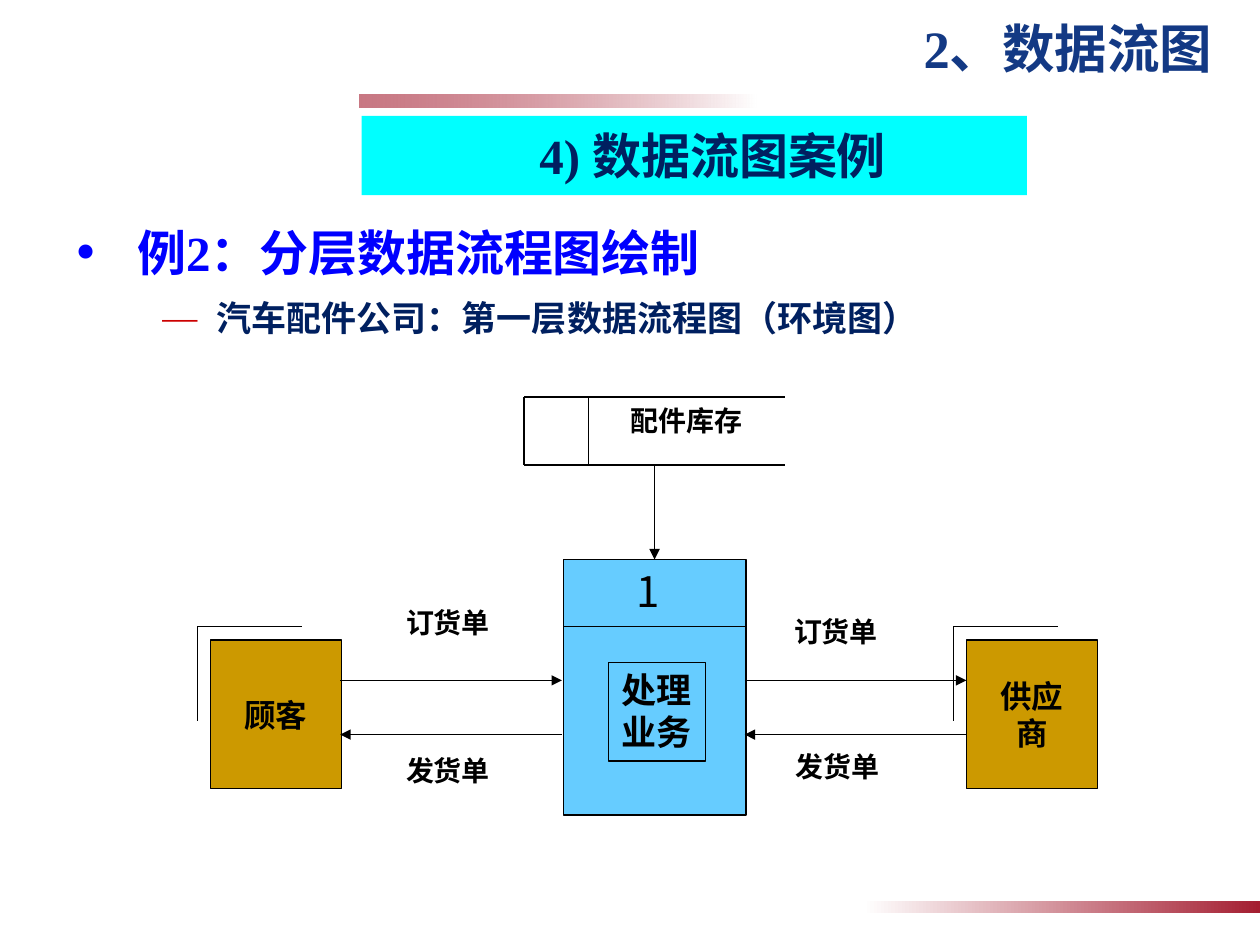
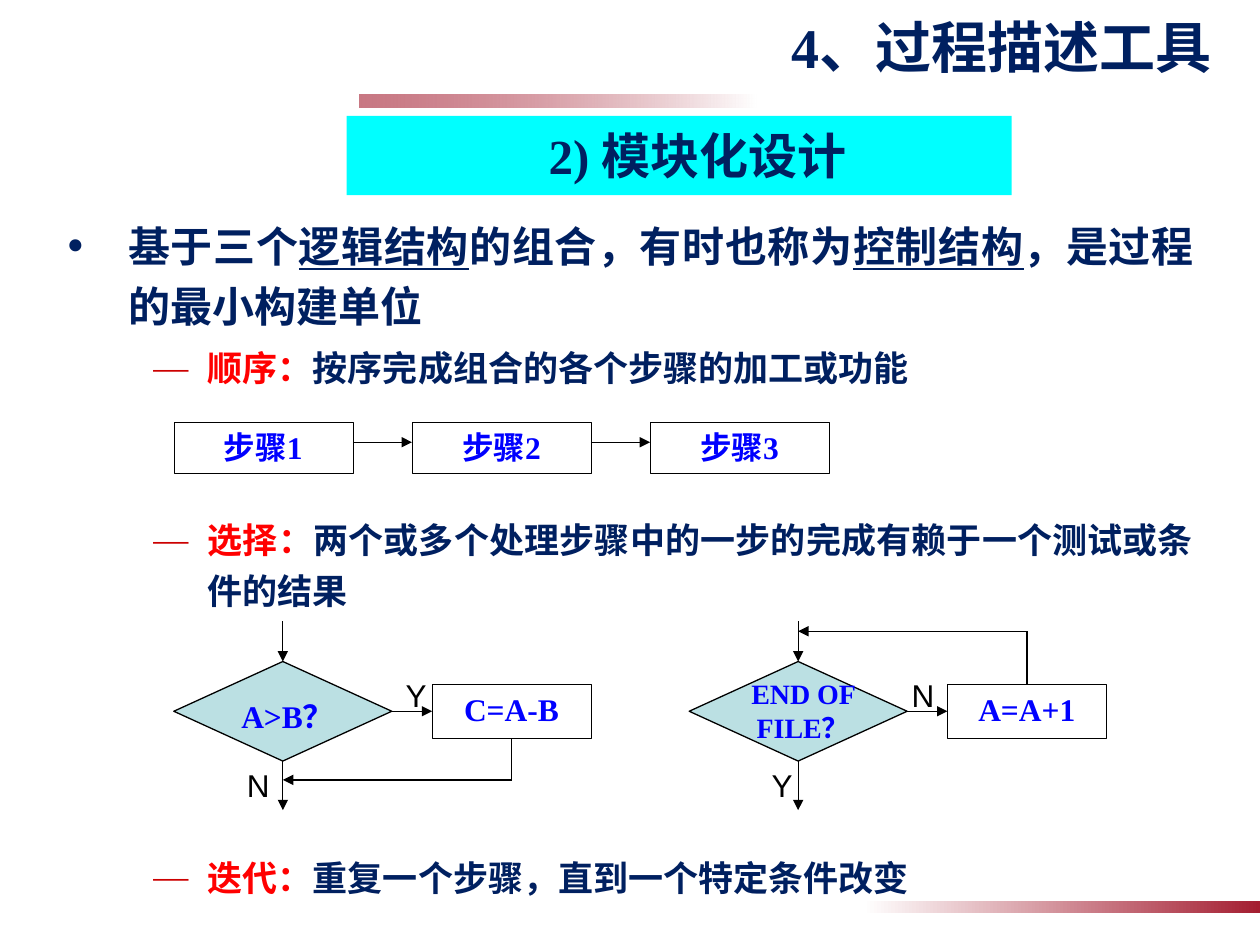
"""Build two slides on data flow diagrams and modular design."""
import lxml.etree
import pptx
import pptx.dml.color
import pptx.enum.shapes
import pptx.enum.text
import pptx.oxml.ns
import pptx.util

color = pptx.dml.color.RGBColor.from_string
qualified = pptx.oxml.ns.qn
SHAPES = pptx.enum.shapes.MSO_SHAPE
ALIGN = pptx.enum.text.PP_ALIGN
ANCHOR = pptx.enum.text.MSO_ANCHOR
SERIF, CHINESE, SANS = "Times New Roman", "Noto Sans CJK SC", "Arial"
WHITE, BLACK, NAVY, BLUE, RED = "FFFFFF", "000000", "002060", "0000FF", "FF0000"
CRIMSON, TITLE_BLUE, CYAN = "A41E31", "133984", "00FFFF"
SKY, OCHRE, PALE_TEAL, BULLET_RED = "66CCFF", "CC9900", "BBE0E3", "CC0000"

presentation = pptx.Presentation()
presentation.slide_width = pptx.util.Inches(10)
presentation.slide_height = pptx.util.Inches(7.5)
column = presentation.slide_width / 100
row = presentation.slide_height / 75


def add_box(slide, left, top, width, height, text="", size=18, ink=BLACK, font=CHINESE,
            bold=True, kind=None, fill=None, line=None, align=ALIGN.CENTER,
            anchor=ANCHOR.TOP, wrap=True):
    place = [int(left * column), int(top * row), int(width * column), int(height * row)]
    if kind is None:
        shape = slide.shapes.add_textbox(*place)
    else:
        shape = slide.shapes.add_shape(kind, *place)
        shape.shadow.inherit = False
        if fill:
            shape.fill.solid()
            shape.fill.fore_color.rgb = color(fill)
        else:
            shape.fill.background()
        if line:
            shape.line.color.rgb = color(BLACK)
            shape.line.width = pptx.util.Pt(line)
        else:
            shape.line.fill.background()
    frame = shape.text_frame
    frame.word_wrap = wrap
    frame.vertical_anchor = anchor
    frame.text = text
    for paragraph in frame.paragraphs:
        paragraph.alignment = align
        for run in paragraph.runs:
            run.font.size = pptx.util.Pt(size)
            run.font.bold = bold
            run.font.name = font
            run.font.color.rgb = color(ink)
    return shape


def add_line(slide, start_x, start_y, end_x, end_y, arrow=False):
    connector = slide.shapes.add_connector(
        pptx.enum.shapes.MSO_CONNECTOR.STRAIGHT,
        int(start_x * column), int(start_y * row), int(end_x * column), int(end_y * row))
    connector.line.color.rgb = color(BLACK)
    connector.line.width = pptx.util.Pt(0.75)
    if arrow:
        lxml.etree.SubElement(connector.line._get_or_add_ln(), qualified("a:tailEnd"), type="triangle")
    lxml.etree.SubElement(connector._element.spPr, qualified("a:effectLst"))
    return connector


pages = [
    {"title": "2、数据流图", "title_size": 30, "title_ink": TITLE_BLUE, "title_top": 0.8,
     "band": "4) 数据流图案例", "band_left": 28.7,
     "body_place": (5, 16.2, 90, 59.1), "body_align": ALIGN.LEFT,
     "body": [(0, 28, 0, [("例2：分层数据流程图绘制", BLUE, False)]),
              (1, 20, 4, [("汽车配件公司：第一层数据流程图（环境图）", NAVY, False)])]},
    {"title": "4、过程描述工具", "title_size": 32, "title_ink": NAVY, "title_top": 0.5,
     "band": "2) 模块化设计", "band_left": 27.5,
     "body_place": (4.3, 16.2, 91.4, 55.9), "body_align": ALIGN.JUSTIFY,
     "body": [(0, 24, 0, [("基于三个", NAVY, False), ("逻辑结构", NAVY, True),
                          ("的组合，有时也称为", NAVY, False), ("控制结构", NAVY, True),
                          ("，是过程的最小构建单位", NAVY, False)]),
              (1, 20, 4, [("顺序：", RED, False),
                          ("按序完成组合的各个步骤的加工或功能", NAVY, False)]),
              (1, 20, 69.6, [("选择：", RED, False),
                             ("两个或多个处理步骤中的一步的完成有赖于一个测试或条件的结果", NAVY, False)]),
              (1, 20, 135.2, [("迭代：", RED, False),
                              ("重复一个步骤，直到一个特定条件改变", NAVY, False)])]},
]

for page in pages:
    slide = presentation.slides.add_slide(presentation.slide_layouts[6])
    for left, top, rotation, opacity in [(28.5, 7.5, 180, 60), (68.5, 71.5, 0, 100)]:
        stripe = add_box(slide, left, top, 31.5, 1, kind=SHAPES.RECTANGLE)
        stripe.rotation = rotation
        stripe.fill.gradient()
        stripe.fill.gradient_angle = 0
        for stop, position, shade in zip(stripe.fill.gradient_stops, (0, 1), (WHITE, CRIMSON)):
            stop.position = position
            stop.color.rgb = color(shade)
        deep_end = list(stripe._element.iter(qualified("a:srgbClr")))[-1]
        lxml.etree.SubElement(deep_end, qualified("a:alpha"), val=str(opacity * 1000))
    add_box(slide, 0, page["title_top"], 97.2, 7, page["title"], page["title_size"],
            page["title_ink"], SERIF, align=ALIGN.RIGHT)
    band = add_box(slide, page["band_left"], 9.2, 52.8, 6.3, page["band"], 28, NAVY, SERIF,
                   kind=SHAPES.RECTANGLE, fill=CYAN)
    band.text_frame.margin_left = int(3.9 * column)
    band.text_frame.margin_top = band.text_frame.margin_bottom = int(0.8 * row)

    frame = add_box(slide, *page["body_place"]).text_frame
    for index, (level, size, space, pieces) in enumerate(page["body"]):
        paragraph = frame.add_paragraph() if index else frame.paragraphs[0]
        properties = paragraph._p.get_or_add_pPr()
        margin, indent = [(4.9, -4.9), (11.2, -4.3)][level]
        properties.set("marL", str(int(margin * column)))
        properties.set("indent", str(int(indent * column)))
        if level:
            bullet_color = lxml.etree.SubElement(properties, qualified("a:buClr"))
            lxml.etree.SubElement(bullet_color, qualified("a:srgbClr"), val=BULLET_RED)
        else:
            lxml.etree.SubElement(properties, qualified("a:buSzPct"), val="120000")
        lxml.etree.SubElement(properties, qualified("a:buFont"), typeface=SERIF)
        lxml.etree.SubElement(properties, qualified("a:buChar"), char="•―"[level])
        paragraph.level = level
        paragraph.alignment = page["body_align"]
        paragraph.line_spacing = 1.2
        paragraph.space_before = pptx.util.Pt(space)
        for text, ink, underlined in pieces:
            run = paragraph.add_run()
            run.text = text
            run.font.size = pptx.util.Pt(size)
            run.font.bold = True
            run.font.name = SERIF
            run.font.color.rgb = color(ink)
            if underlined:
                run.font.underline = True

flow_slide, module_slide = presentation.slides

process = add_box(flow_slide, 44.7, 44.4, 14.5, 20.3, kind=SHAPES.RECTANGLE, fill=SKY, line=0.75)
add_line(flow_slide, 44.7, 49.7, 59.2, 49.7)
add_box(flow_slide, 48.8, 44.4, 5.2, 5, "1", 24, bold=False)
add_box(flow_slide, 48.3, 52.6, 7.7, 7.8, "处理\n业务", 20, kind=SHAPES.RECTANGLE, line=0.75, wrap=False)
for left, name in [(16.7, "顾客"), (76.7, "供应\n商")]:
    add_box(flow_slide, left, 50.8, 10.4, 11.8, name, kind=SHAPES.RECTANGLE, fill=OCHRE,
            line=0.75, anchor=ANCHOR.MIDDLE, wrap=False)
    add_line(flow_slide, left - 1.05, 57.2, left - 1.05, 49.7)
    add_line(flow_slide, left - 1.05, 49.7, left + 7.25, 49.7)
for left, top, width, name in [(31.2, 47.6, 8.7, "订货单"), (31.2, 59.3, 8.7, "发货单"),
                               (62, 48.3, 8.7, "订货单"), (62.1, 59, 8.7, "发货单"),
                               (49, 31.5, 11, "配件库存")]:
    add_box(flow_slide, left, top, width, 3.7, name, 16, wrap=False)
for left in (41.6, 46.7):
    add_line(flow_slide, left, 31.5, left, 36.9)
for top in (31.5, 36.9):
    add_line(flow_slide, 41.6, top, 62.3, top)
for left, right in [(27, 44.6), (59.1, 76.7)]:
    add_line(flow_slide, left, 54, right, 54, arrow=True)
    add_line(flow_slide, right, 58.3, left, 58.3, arrow=True)
add_line(flow_slide, 51.95, 36.9, 51.95, 44.4, arrow=True).end_connect(process, 0)

for index in range(3):
    left = 13.8 + 18.9 * index
    add_box(module_slide, left, 33.5, 14.2, 4.05, f"步骤{index + 1}", 18, BLUE, SERIF,
            kind=SHAPES.RECTANGLE, line=0.25)
    if index:
        add_line(module_slide, left - 4.7, 35.1, left, 35.1, arrow=True)

letter_widths = {"Y": 3.1, "N": 3.9}
for left, question, size, question_top, action, side, down, loop_row, action_side in [
        (13.8, "A>B？", 18, 54.8, "C=A-B", "Y", "N", 61.9, 2),
        (54.7, "END OF FILE？", 16, 53.2, "A=A+1", "N", "Y", 50.1, 0)]:
    axis, action_left = left + 8.65, left + 20.5
    action_axis = action_left + 6.3
    decision = add_box(module_slide, left, 52.5, 17.3, 7.9, kind=SHAPES.FLOWCHART_DECISION,
                       fill=PALE_TEAL, line=0.75)
    add_box(module_slide, left + 2.35, question_top, 13.4, 6.4, question, size, BLUE, SERIF)
    action_box = add_box(module_slide, action_left, 54.3, 12.6, 4.3, action, 18, BLUE, SERIF,
                         kind=SHAPES.RECTANGLE, line=0.25)
    add_line(module_slide, axis, 49.3, axis, 52.5, arrow=True).end_connect(decision, 0)
    add_line(module_slide, axis, 60.4, axis, 64.3, arrow=True).begin_connect(decision, 2)
    branch = add_line(module_slide, left + 17.3, 56.45, action_left, 56.45, arrow=True)
    branch.begin_connect(decision, 3)
    branch.end_connect(action_box, 1)
    add_line(module_slide, action_axis, 56.45, action_axis, loop_row).begin_connect(action_box, action_side)
    add_line(module_slide, action_axis, loop_row, axis, loop_row, arrow=True)
    for letter, right, top in [(side, action_left, 53.2), (down, axis, 60.3)]:
        width = letter_widths[letter]
        add_box(module_slide, right - width, top, width, 3.7, letter, 18, font=SANS, bold=False)

for slide in presentation.slides:
    for run_properties in slide._element.iter(qualified("a:rPr")):
        latin = run_properties.find(qualified("a:latin"))
        latin.addnext(lxml.etree.Element(qualified("a:ea"), typeface=CHINESE))

presentation.save("out.pptx")
